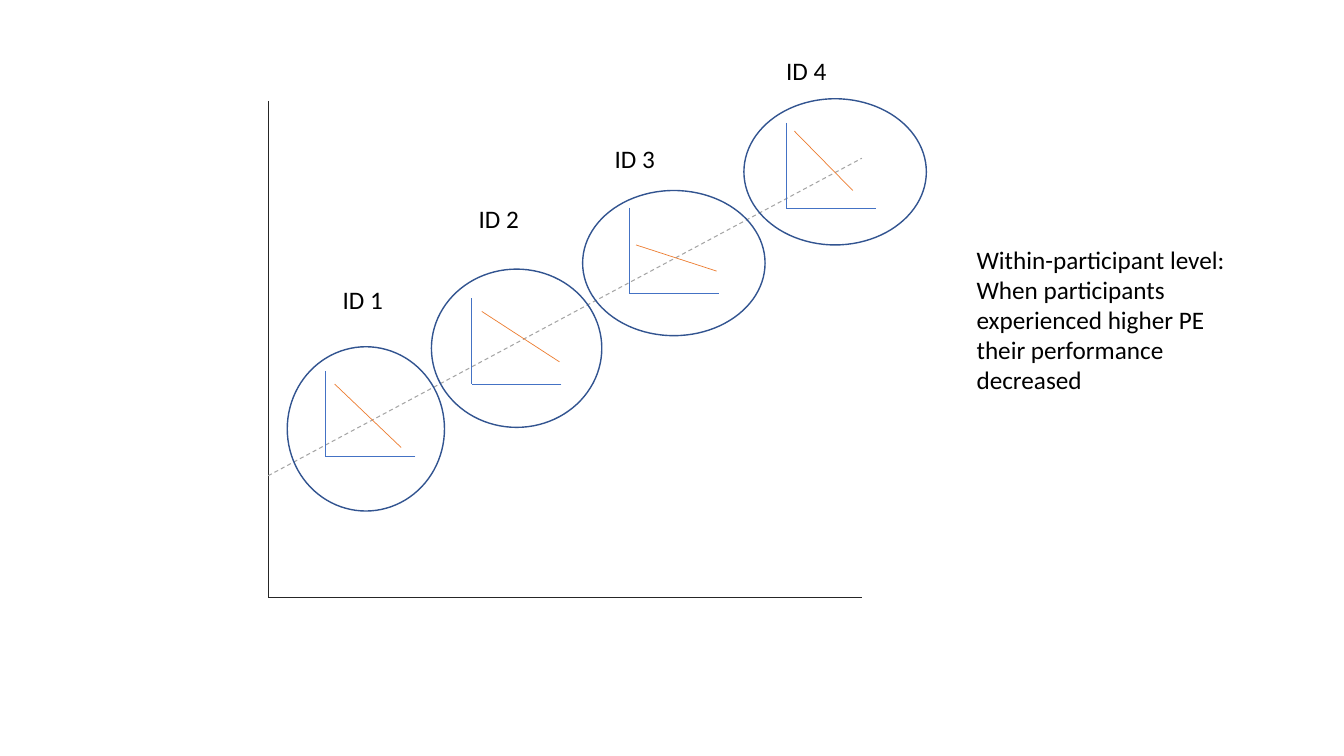
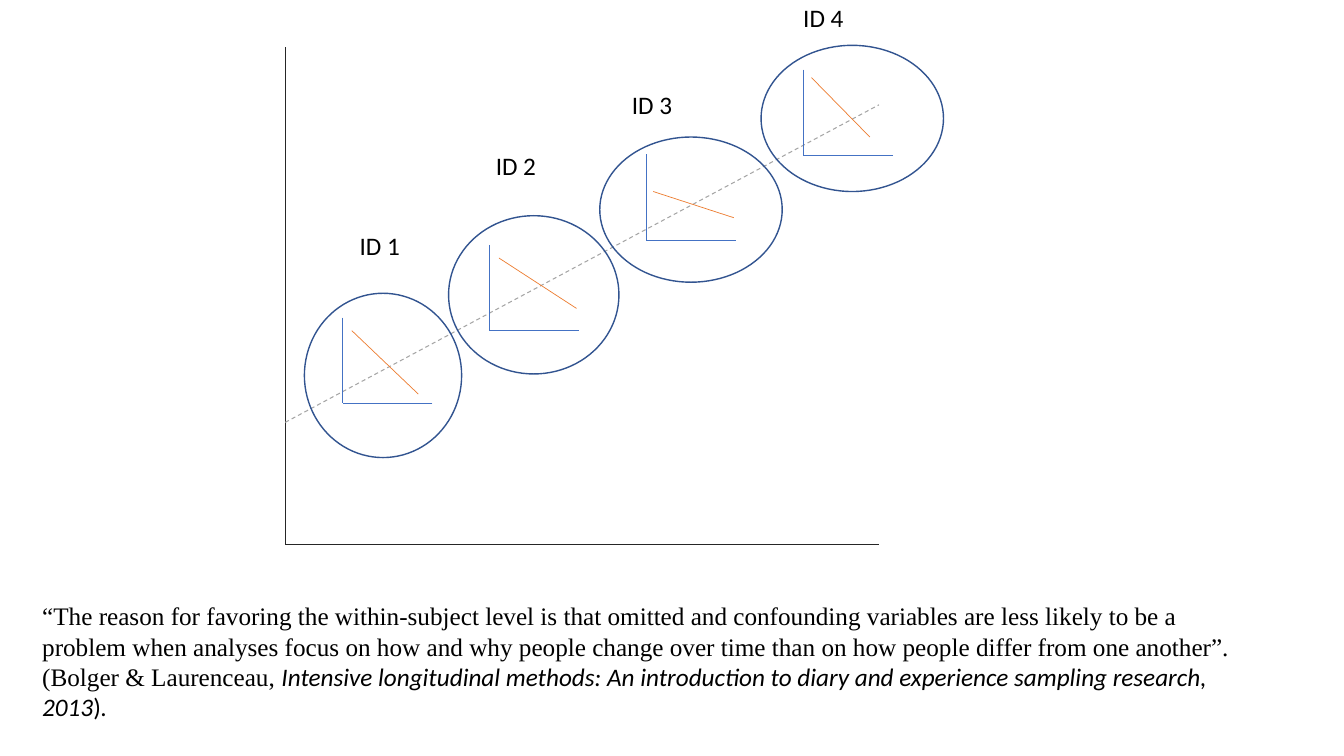
from dataclasses import dataclass
from lxml.etree import SubElement
from pptx import Presentation
from pptx.dml.color import RGBColor
from pptx.enum.dml import MSO_LINE as Dash
from pptx.enum.shapes import MSO_CONNECTOR as Connector, MSO_SHAPE as Preset
from pptx.enum.text import MSO_AUTO_SIZE as AutoSize
from pptx.oxml.ns import qn
from pptx.util import Inches, Pt

# Shared style; one grid column or row is a tenth of an inch
CELL = 0.1
COLUMNS, ROWS = 133.33, 75
COLORS = {"axis": "262626", "overall": "A5A5A5", "circle": "325490",
          "mini_axis": "4472C4", "trend": "ED7D31", "text": "000000"}
BODY, SERIF = "Calibri", "Times New Roman"
MINI_WIDTH, MINI_HEIGHT = 8.9, 8.5


@dataclass
class Participant:
    name: str
    circle: tuple   # left, top, width, height
    label: tuple    # left, top
    origin: tuple   # corner of the small axes
    trend: tuple    # start column and row, end column and row


PARTICIPANTS = [
    Participant("ID 1", (28.5, 34.4, 15.6, 16.3), (33, 27.7),
                (32.3, 45.3), (33.2, 38.1, 39.8, 44.4)),
    Participant("ID 2", (42.8, 26.7, 16.9, 15.7), (46.5, 19.7),
                (46.8, 38.1), (47.8, 30.9, 55.5, 35.9)),
    Participant("ID 3", (57.8, 18.9, 18.1, 14.4), (60, 13.7),
                (62.4, 29.1), (63.1, 24.3, 71.1, 26.9)),
    Participant("ID 4", (73.8, 9.8, 18.1, 14.5), (77, 5),
                (78, 20.7), (78.8, 13, 84.6, 18.9)),
]


def cells(count):
    return Inches(count * CELL)


class Sketch:
    """Style and current slide; the diagram can be shifted on the page."""

    def __init__(self):
        self.deck = Presentation()
        self.deck.slide_width, self.deck.slide_height = cells(COLUMNS), cells(ROWS)
        self.page = None
        self.shift = (0, 0)

    def new_page(self, shift=(0, 0)):
        self.page = self.deck.slides.add_slide(self.deck.slide_layouts[6])
        self.shift = shift

    def place(self, column, row):
        return cells(column + self.shift[0]), cells(row + self.shift[1])

    def outline(self, shape, color, **formats):
        shape.line.color.rgb = RGBColor.from_string(COLORS[color])
        for name, value in formats.items():
            setattr(shape.line, name, value)

    def line(self, start, end, color, **formats):
        connector = self.page.shapes.add_connector(
            Connector.STRAIGHT, *self.place(*start), *self.place(*end))
        self.outline(connector, color, **{"width": Pt(0.5), **formats})
        SubElement(connector._element.spPr, qn("a:effectLst"))

    def axes(self, origin, width, height, color):
        column, row = origin
        self.line((column, row - height), origin, color)
        self.line((column + width, row), origin, color)

    def circle(self, left, top, width, height):
        oval = self.page.shapes.add_shape(
            Preset.OVAL, *self.place(left, top), cells(width), cells(height))
        oval.shadow.inherit = False
        oval.fill.background()
        self.outline(oval, "circle", width=Pt(1))

    def text(self, position, size, paragraphs):
        """Each paragraph is a list of (text, font formats)."""
        box = self.page.shapes.add_textbox(*position, *map(cells, size))
        frame = box.text_frame
        frame.word_wrap = True
        frame.auto_size = AutoSize.SHAPE_TO_FIT_TEXT
        for index, spans in enumerate(paragraphs):
            para = frame.paragraphs[0] if index == 0 else frame.add_paragraph()
            for words, formats in spans:
                span = para.add_run()
                span.text = words
                span.font.color.rgb = RGBColor.from_string(COLORS["text"])
                for name, value in {"name": BODY, "size": Pt(18), **formats}.items():
                    setattr(span.font, name, value)

    def participant(self, person):
        self.circle(*person.circle)
        self.text(self.place(*person.label), (7.4, 4), [[(person.name, {})]])
        self.axes(person.origin, MINI_WIDTH, MINI_HEIGHT, "mini_axis")
        self.line(person.trend[:2], person.trend[2:], "trend")

    def diagram(self):
        self.axes((26.6, 59.3), 58.9, 49.3, "axis")
        self.line((26.6, 47.2), (85.5, 15.7), "overall",
                  width=Pt(0.75), dash_style=Dash.DASH)
        for person in PARTICIPANTS:
            self.participant(person)


def main():
    sketch = Sketch()

    # Diagram with the finding at its right
    sketch.new_page()
    sketch.diagram()
    sketch.text((cells(95.9), cells(23.7)), (29.7, 19), [
        [("Within-participant level:", {})],
        [("When participants experienced higher PE their performance decreased", {})],
    ])

    # Diagram moved up, with the quotation below
    sketch.new_page(shift=(1.7, -5.3))
    sketch.diagram()
    serif, italic = {"name": SERIF}, {"italic": True}
    sketch.text((cells(3.2), cells(59.1)), (121.5, 13), [
        [("“The reason for favoring the within-subject level is that omitted and "
          "confounding variables are less likely to be a problem when analyses "
          "focus on how and why people change over time than on how people "
          "differ from one another”.", serif)],
        [("(Bolger & Laurenceau, ", serif),
         ("Intensive longitudinal methods: An introduction to diary and "
          "experience sampling research, 2013", italic),
         (")", {}),
         (".", italic)],
    ])

    sketch.deck.save("out.pptx")


if __name__ == "__main__":
    main()
